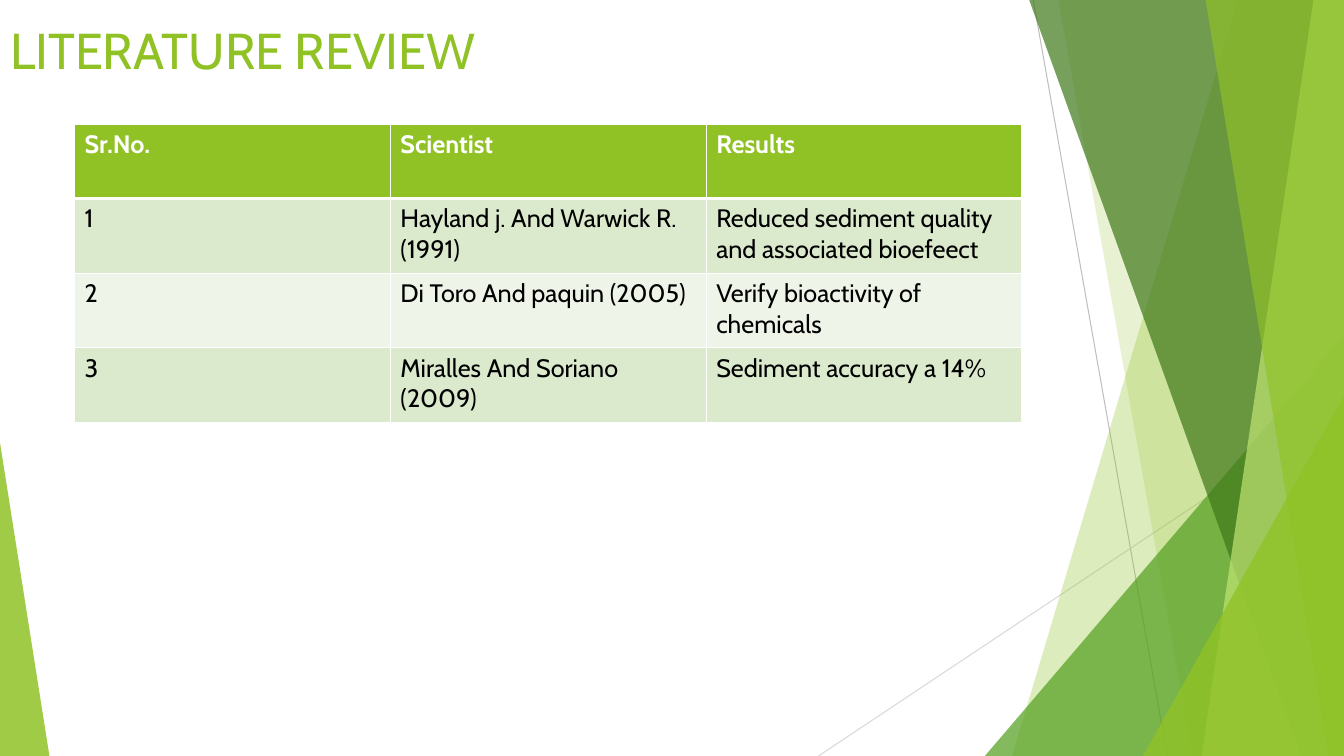
from lxml.etree import SubElement
from pptx import Presentation
from pptx.dml.color import RGBColor
from pptx.enum.shapes import MSO_CONNECTOR as Connector, MSO_SHAPE as Shape
from pptx.enum.text import MSO_ANCHOR as Anchor, PP_ALIGN as Align
from pptx.oxml import parse_xml
from pptx.oxml.ns import nsdecls, qn
from pptx.util import Inches, Pt

WIDTH, HEIGHT = Inches(13.33), Inches(7.5)
FONT = "Cabin"
LIME, GREEN, FOREST, PALE = "90C226", "54A021", "3F7819", "C0E474"
WHITE, BLACK = "FFFFFF", "000000"
ROW_FILLS = ("DBE9CD", "EEF4E8")

ROWS = [
    ("Sr.No.", "Scientist", "Results"),
    ("1", "Hayland j. And Warwick R. (1991)",
     "Reduced sediment quality and associated bioefeect"),
    ("2", "Di Toro And paquin (2005)", "Verify bioactivity of chemicals"),
    ("3", "Miralles And Soriano (2009)", "Sediment accuracy a 14%"),
]


def across(percent):
    """Return a percentage of the slide width."""
    return round(WIDTH * percent / 100)


def down(percent):
    """Return a percentage of the slide height."""
    return round(HEIGHT * percent / 100)


def paint(fill, color, opacity=100):
    """Give a fill a solid colour with an opacity in percent."""
    fill.solid()
    fill.fore_color.rgb = RGBColor.from_string(color)
    if opacity < 100:
        tint = fill._xPr.find(qn("a:solidFill"))[0]
        SubElement(tint, qn("a:alpha")).set("val", str(opacity * 1000))


def finish(shape, color, opacity):
    """Make a decoration flat, without outline or shadow."""
    paint(shape.fill, color, opacity)
    shape.line.fill.background()
    shape.shadow.inherit = False


def add_hairline(page, start, end, color):
    """Draw a thin line between two points."""
    line = page.shapes.add_connector(
        Connector.STRAIGHT, across(start[0]), down(start[1]),
        across(end[0]), down(end[1]))
    line.line.color.rgb = RGBColor.from_string(color)
    line.line.width = Pt(0.75)
    SubElement(line._element.spPr, qn("a:effectLst"))


def add_band(page, top, bottom, color, opacity):
    """Draw a full-height band from a slanted left side to the right edge."""
    builder = page.shapes.build_freeform(across(top), 0, scale=1.0)
    builder.add_line_segments(
        [(WIDTH, 0), (WIDTH, HEIGHT), (across(bottom), HEIGHT)], close=True)
    finish(builder.convert_to_shape(), color, opacity)


def add_corner(page, left, right, top, apex, color, opacity):
    """Draw a triangle on the bottom edge; apex 0 is left, 1 is right."""
    corner = page.shapes.add_shape(
        Shape.ISOSCELES_TRIANGLE, across(left), down(top),
        across(right - left), down(100 - top))
    corner.adjustments[0] = apex
    finish(corner, color, opacity)


def add_decoration(page):
    """Layer the green facets from back to front."""
    add_hairline(page, (76.88, 0), (86.85, 100), "BFBFBF")
    add_hairline(page, (100, 53.73), (60.9, 100), "D9D9D9")
    add_band(page, 92.1, 75.3, LIME, 30)
    add_band(page, 78.75, 88.73, LIME, 20)
    add_corner(page, 73.28, 100, 44.4, 1, GREEN, 72)
    add_band(page, 76.58, 96.83, FOREST, 70)
    add_band(page, 97.73, 89.4, PALE, 70)
    add_band(page, 89.7, 98.85, LIME, 65)
    add_corner(page, 85.05, 100, 52.4, 1, LIME, 80)
    add_corner(page, 0, 3.68, 58.53, 0, LIME, 85)


def style_font(para, size, color, bold=False):
    """Set the font of a paragraph."""
    para.font.name, para.font.size, para.font.bold = FONT, Pt(size), bold
    para.font.color.rgb = RGBColor.from_string(color)


def set_title(page, text):
    """Place the title placeholder in front of the decoration."""
    title = page.shapes.title
    page.shapes._spTree.append(title._element)
    title.left, title.top = 0, down(1.87)
    title.width, title.height = across(76.05), down(26.27)
    title.text = text
    title.text_frame.vertical_anchor = Anchor.TOP
    para = title.text_frame.paragraphs[0]
    para.alignment = Align.LEFT
    style_font(para, 36, LIME)


def add_borders(cell, top, bottom):
    """Give a cell white borders; widths are in points."""
    widths = {"lnL": 1, "lnR": 1, "lnT": top, "lnB": bottom}
    for index, (side, width) in enumerate(widths.items()):
        cell._tc.get_or_add_tcPr().insert(index, parse_xml(
            f'<a:{side} {nsdecls("a")} w="{Pt(width)}"><a:solidFill>'
            f'<a:srgbClr val="{WHITE}"/></a:solidFill></a:{side}>'))


def add_review_table(page):
    """Add the table with a lime header and alternating rows."""
    table = page.shapes.add_table(
        len(ROWS), len(ROWS[0]), across(5.55), down(16.4),
        across(70.5), down(39.47)).table
    for row, texts in enumerate(ROWS):
        header = row == 0
        for column, text in enumerate(texts):
            cell = table.cell(row, column)
            cell.text = text
            paint(cell.fill, LIME if header else ROW_FILLS[(row - 1) % 2])
            add_borders(cell, 3 if row == 1 else 1, 3 if header else 1)
            style_font(cell.text_frame.paragraphs[0], 18,
                       WHITE if header else BLACK, header)


def main():
    """Build and save the slide."""
    deck = Presentation()
    deck.slide_width, deck.slide_height = WIDTH, HEIGHT
    page = deck.slides.add_slide(deck.slide_layouts.get_by_name("Title Only"))
    paint(page.background.fill, WHITE)
    add_decoration(page)
    set_title(page, "LITERATURE REVIEW")
    add_review_table(page)
    deck.save("out.pptx")


main()
